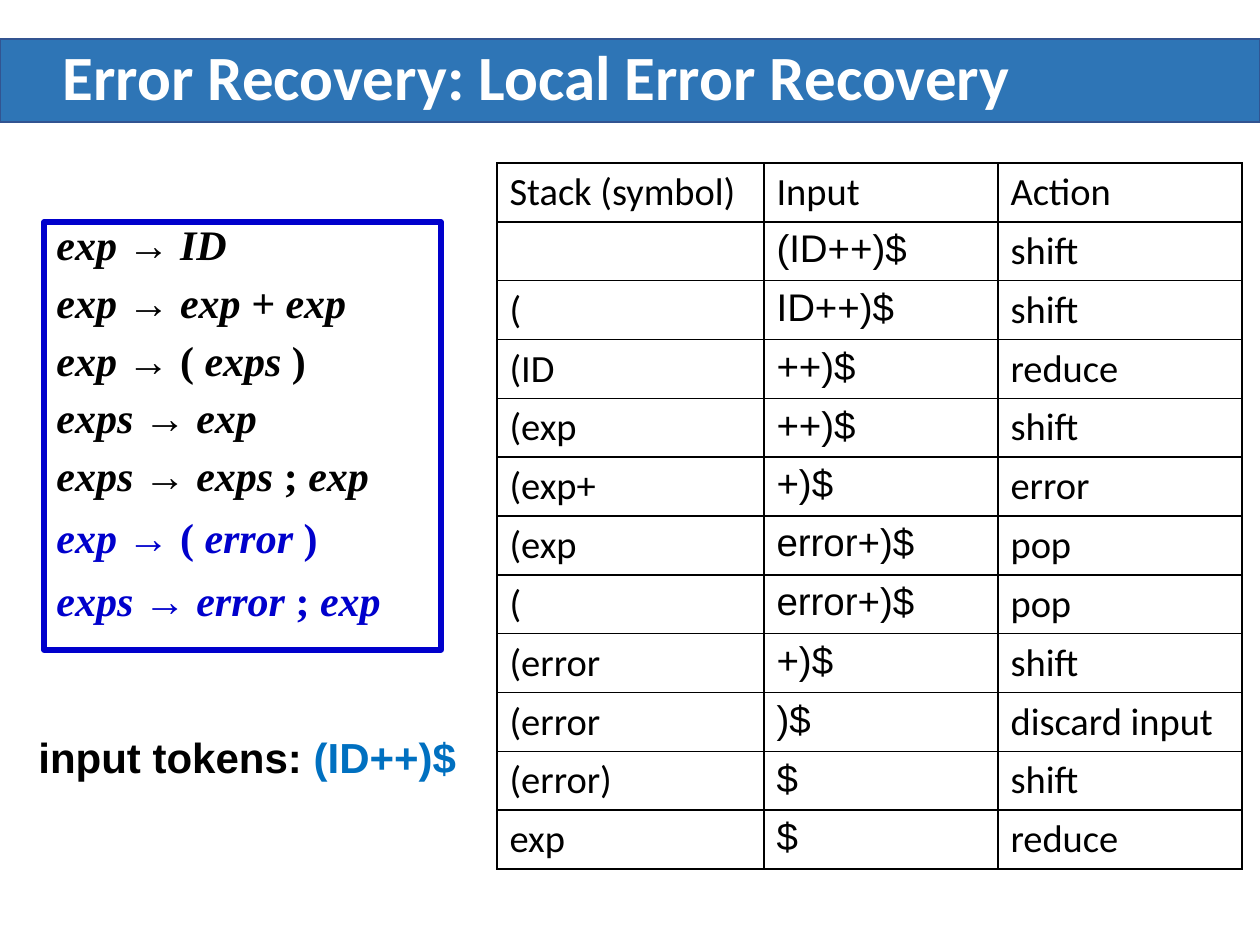
import pptx
import pptx.util
import pptx.dml.color
import pptx.enum.shapes
import pptx.enum.text
import pptx.oxml
import pptx.oxml.ns
from dataclasses import dataclass

EMU_PER_PX = 914400 / 126


@dataclass(frozen=True)
class Theme:
    bar: str = "2E75B6"
    bar_line: str = "325491"
    white: str = "FFFFFF"
    black: str = "000000"
    blue: str = "0000CC"
    token: str = "0070C0"
    sans: str = "Calibri"
    plain: str = "Arial"
    serif: str = "Times New Roman"
    title_size: int = 36
    body_size: int = 24
    table_size: int = 22


THEME = Theme()

# Text between asterisks is upright; the rest is italic
BASE_RULES = ["exp → ID", "exp → exp + exp", "exp* → ( *exps* )",
              "exps → exp", "exps → exps* ; *exp"]
ERROR_RULES = ["exp* → ( *error* )", "exps → error* ; *exp"]

TRACE = [
    ("Stack (symbol)", "Input", "Action"),
    ("", "(ID++)$", "shift"),
    ("(", "ID++)$", "shift"),
    ("(ID", "++)$", "reduce"),
    ("(exp", "++)$", "shift"),
    ("(exp+", "+)$", "error"),
    ("(exp", "error+)$", "pop"),
    ("(", "error+)$", "pop"),
    ("(error", "+)$", "shift"),
    ("(error", ")$", "discard input"),
    ("(error)", "$", "shift"),
    ("exp", "$", "reduce"),
]


def px(n):
    return pptx.util.Emu(round(n * EMU_PER_PX))


def rgb(value):
    return pptx.dml.color.RGBColor.from_string(value)


def set_font(font, name, size, color, bold=False):
    font.name = name
    font.size = pptx.util.Pt(size)
    font.color.rgb = rgb(color)
    font.bold = bold


def add_box(slide, box, line, width, fill=None):
    sp = slide.shapes.add_shape(pptx.enum.shapes.MSO_SHAPE.RECTANGLE, *map(px, box))
    sp.shadow.inherit = False
    if fill:
        sp.fill.solid()
        sp.fill.fore_color.rgb = rgb(fill)
    else:
        sp.fill.background()
    sp.line.color.rgb = rgb(line)
    sp.line.width = pptx.util.Pt(width)
    return sp


def add_title(slide, box, text):
    left, top, width, height = box
    bar = add_box(slide, box, THEME.bar_line, 1, THEME.bar)
    title = slide.shapes.title
    title._element.addprevious(bar._element)  # bar goes behind the title
    title.left, title.top = px(left + 50), px(top)
    title.width, title.height = px(width - 96), px(height)
    tf = title.text_frame
    tf.text = text
    tf.vertical_anchor = pptx.enum.text.MSO_ANCHOR.MIDDLE
    p = tf.paragraphs[0]
    p.alignment = pptx.enum.text.PP_ALIGN.LEFT
    p.line_spacing = 0.9
    set_font(p.font, THEME.sans, THEME.title_size, THEME.white, True)


def add_grammar(slide, box):
    tf = add_box(slide, box, THEME.blue, 3).text_frame
    tf.word_wrap = True
    tf.vertical_anchor = pptx.enum.text.MSO_ANCHOR.TOP
    for i, rule in enumerate(BASE_RULES + ERROR_RULES):
        is_base = i < len(BASE_RULES)
        p = tf.add_paragraph() if i else tf.paragraphs[0]
        p.alignment = pptx.enum.text.PP_ALIGN.LEFT
        p.space_before = pptx.util.Pt(10)
        p.line_spacing = 0.8 if is_base else 0.9
        if is_base:  # hanging indent
            pPr = p._p.get_or_add_pPr()
            pPr.set("marL", "228600")
            pPr.set("indent", "-228600")
        set_font(p.font, THEME.serif, THEME.body_size,
                 THEME.black if is_base else THEME.blue, True)
        for j, part in enumerate(rule.split("*")):
            r = p.add_run()
            r.text = part
            r.font.italic = j % 2 == 0


def add_tokens(slide, box):
    tf = slide.shapes.add_textbox(*map(px, box)).text_frame
    tf.word_wrap = False
    tf.auto_size = pptx.enum.text.MSO_AUTO_SIZE.SHAPE_TO_FIT_TEXT
    p = tf.paragraphs[0]
    p.line_spacing = 0.9
    for text, color in (("input tokens: ", THEME.black), ("(ID++)$", THEME.token)):
        r = p.add_run()
        r.text = text
        set_font(r.font, THEME.plain, THEME.body_size, color, True)


def add_borders(cell):
    tcPr = cell._tc.get_or_add_tcPr()
    for i, side in enumerate(("lnL", "lnR", "lnT", "lnB")):
        tcPr.insert(i, pptx.oxml.parse_xml(
            f'<a:{side} {pptx.oxml.ns.nsdecls("a")} w="12700"><a:solidFill>'
            f'<a:srgbClr val="{THEME.black}"/></a:solidFill></a:{side}>'))


def add_trace(slide, box, col_widths):
    table = slide.shapes.add_table(len(TRACE), len(col_widths), *map(px, box)).table
    table.first_row = table.horz_banding = False
    for column, width in zip(table.columns, col_widths):
        column.width = px(width)
    for r, row in enumerate(TRACE):
        for c, text in enumerate(row):
            cell = table.cell(r, c)
            cell.text = text
            cell.fill.background()
            cell.margin_top = cell.margin_bottom = px(6)
            font = THEME.plain if r and c == 1 else THEME.sans
            set_font(cell.text_frame.paragraphs[0].font, font,
                     THEME.table_size, THEME.black)
            add_borders(cell)


def main():
    prs = pptx.Presentation()
    prs.slide_width, prs.slide_height = px(1260), px(945)
    slide = prs.slides.add_slide(prs.slide_layouts[5])
    add_title(slide, (0, 39, 1260, 83), "Error Recovery: Local Error Recovery")
    add_grammar(slide, (44, 222, 397, 428))
    add_tokens(slide, (26, 731, 447, 58))
    add_trace(slide, (497, 163, 745, 706), (267, 234, 244))
    prs.save("out.pptx")


if __name__ == "__main__":
    main()
